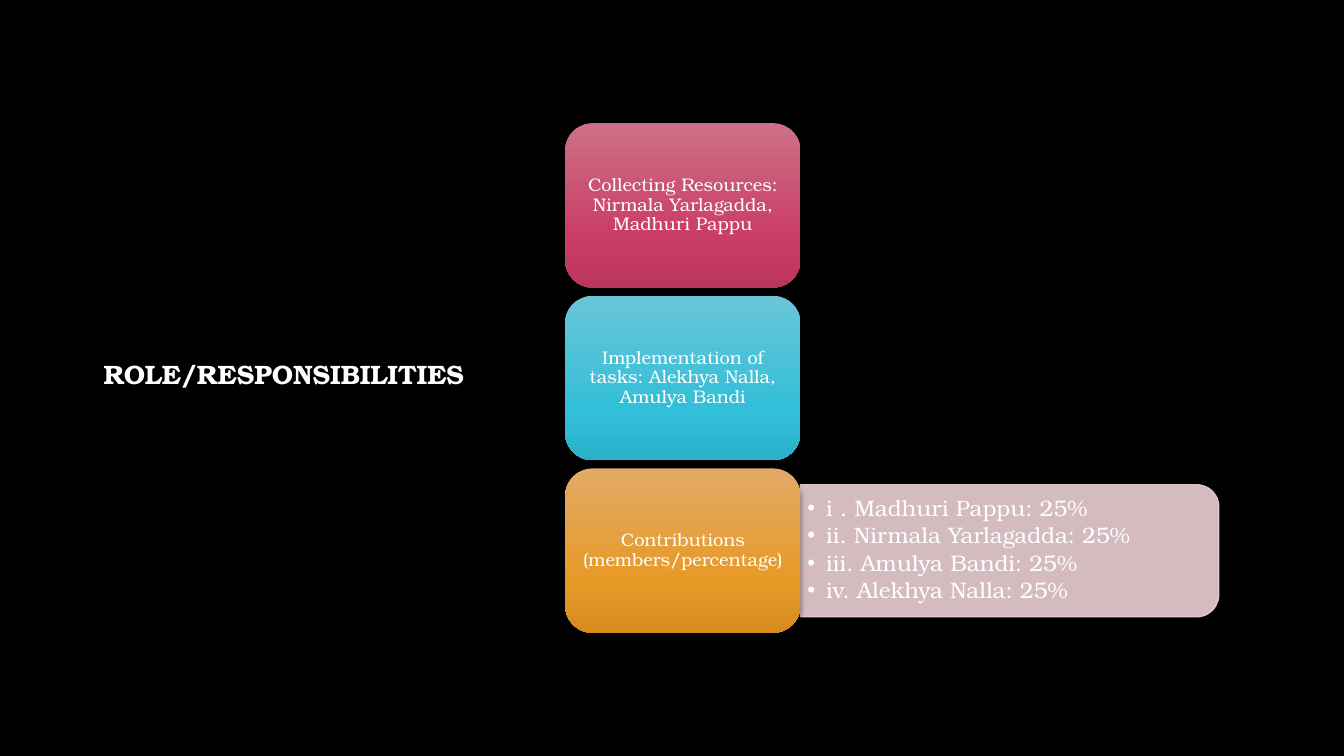
from lxml import etree
from pptx import Presentation
from pptx.dml.color import RGBColor
from pptx.enum.shapes import MSO_SHAPE as Kind
from pptx.enum.text import MSO_ANCHOR as Anchor, MSO_AUTO_SIZE as Fit, PP_ALIGN as Align
from pptx.oxml import parse_xml
from pptx.util import Pt

NS = 'xmlns:a="http://schemas.openxmlformats.org/drawingml/2006/main"'


def tint(hue):
    return RGBColor.from_string(hue)


def style(shape, size, align, pad, bold=False):
    frame = shape.text_frame
    frame.word_wrap = True
    frame.auto_size = Fit.NONE
    frame.vertical_anchor = Anchor.MIDDLE
    frame.margin_left = frame.margin_right = Pt(pad)
    frame.margin_top = frame.margin_bottom = Pt(2)
    for para in frame.paragraphs:
        para.alignment = align
        para.line_spacing = 0.9
        para.space_before = Pt(0)
        for run in para.runs:
            run.font.name = "TeX Gyre Bonum"
            run.font.size = Pt(size)
            run.font.bold = bold
            run.font.color.rgb = tint("FFFFFF")


deck = Presentation()
deck.slide_width, deck.slide_height = Pt(960), Pt(540)
slide = deck.slides.add_slide(deck.slide_layouts[1])
slide.background.fill.solid()
slide.background.fill.fore_color.rgb = tint("000000")
shapes = slide.shapes

title = shapes.title
title.left, title.top, title.width, title.height = Pt(59.5), Pt(48), Pt(286.5), Pt(441.5)
title.text_frame.text = "ROLE/RESPONSIBILITIES"
style(title, 19, Align.CENTER, 7.2, True)

panel = shapes.add_shape(Kind.ROUND_2_SAME_RECTANGLE, Pt(674), Pt(244), Pt(94.3), Pt(298.8))
panel.rotation = 90
panel.shadow.inherit = False
panel.fill.solid()
panel.fill.fore_color.rgb = tint("EAD0D5")
panel.line.color.rgb = tint("EAD0D5")
panel.line.width = Pt(1)
for mark in list(panel._element.spPr.iter("{*}srgbClr")):
    mark.append(parse_xml(f'<a:alpha {NS} val="90000"/>'))

cards = [
    ("Collecting Resources: Nirmala Yarlagadda, Madhuri Pappu", ("CC7087", "CA3D66", "BA355B")),
    ("Implementation of tasks: Alekhya Nalla, Amulya Bandi", ("6AC5D7", "32BFD9", "2AB0C8")),
    ("Contributions (members/percentage)", ("E2AA66", "E79926", "D68B1F")),
]
for row, (words, hues) in enumerate(cards):
    card = shapes.add_shape(Kind.ROUNDED_RECTANGLE, Pt(403.7), Pt(88 + 123.3 * row), Pt(168), Pt(117.4))
    card.line.fill.background()
    card.fill.gradient()
    card.fill.gradient_angle = 270
    stops = card.fill._fill._gradFill.gsLst
    for stop in list(stops):
        stops.remove(stop)
    for spot, hue in zip((0, 69, 100), hues):
        stops.append(parse_xml(f'<a:gs {NS} pos="{spot * 1000}"><a:srgbClr val="{hue}"/></a:gs>'))
    card.shadow.inherit = False
    glow = card._element.spPr.find("{*}effectLst")
    glow.append(parse_xml(
        f'<a:outerShdw {NS} blurRad="{Pt(4)}" dist="{Pt(3)}" dir="5400000" rotWithShape="0">'
        '<a:srgbClr val="000000"><a:alpha val="54000"/></a:srgbClr></a:outerShdw>'))
    card.text_frame.text = words
    style(card, 13, Align.CENTER, 3)

body = slide.placeholders[1]
body.left, body.top, body.width, body.height = Pt(571.7), Pt(350.6), Pt(293.8), Pt(85)
body.text_frame.text = "\n".join([
    "i . Madhuri Pappu: 25%",
    "ii. Nirmala Yarlagadda: 25%",
    "iii. Amulya Bandi: 25%",
    "iv. Alekhya Nalla: 25%",
])
style(body, 16, Align.LEFT, 5)
for para in body.text_frame.paragraphs:
    para.space_after = Pt(2.4)
    props = para._p.get_or_add_pPr()
    props.set("marL", str(Pt(13.5)))
    props.set("indent", str(-Pt(13.5)))
    etree.SubElement(props, "{http://schemas.openxmlformats.org/drawingml/2006/main}buChar", char="•")
shapes._spTree.append(body._element)

deck.save("out.pptx")
